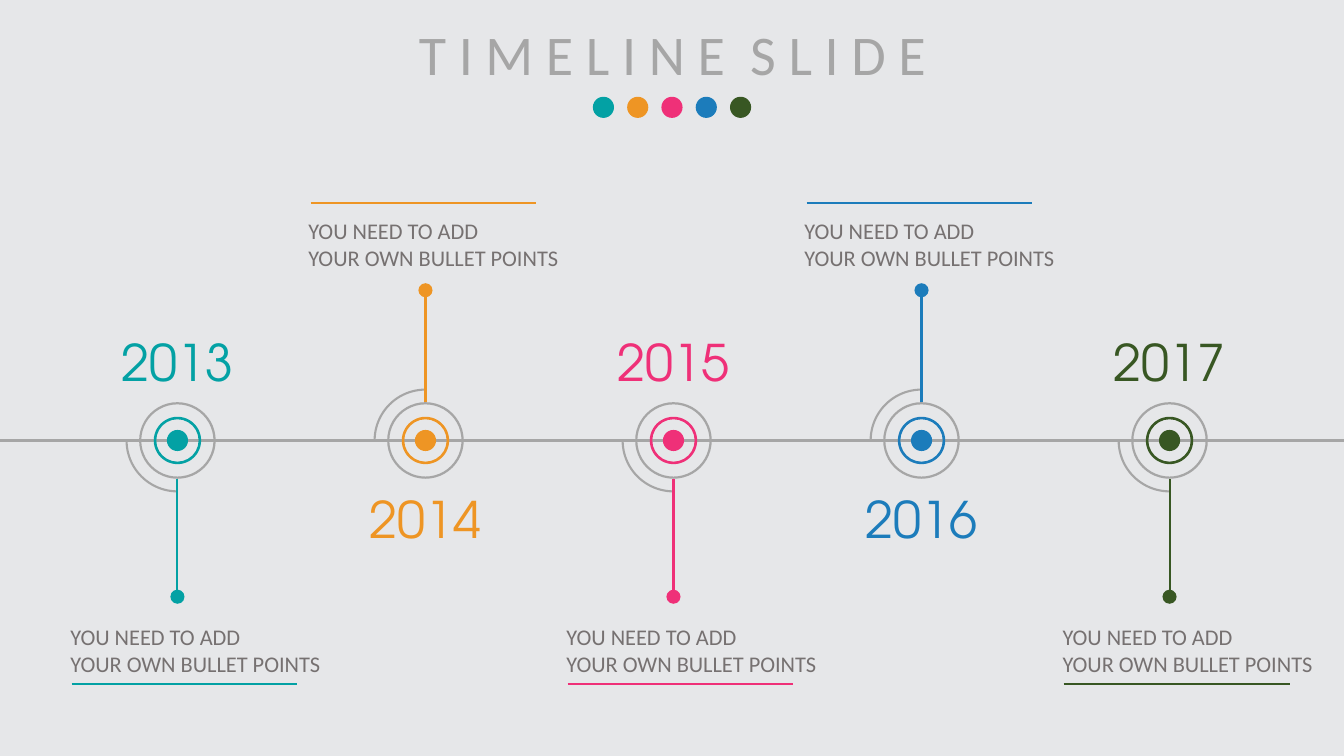
from pptx import Presentation
from pptx.dml.color import RGBColor
from pptx.enum.shapes import MSO_CONNECTOR, MSO_SHAPE
from pptx.enum.text import MSO_AUTO_SIZE, PP_ALIGN
from pptx.oxml import parse_xml
from pptx.oxml.ns import nsdecls
from pptx.util import Inches, Pt

COLORS = {
    "background": "E6E7E9",
    "gray": "A6A6A6",
    "text": "767171",
    "teal": "03A1A4",
    "orange": "EE9524",
    "pink": "EF3078",
    "blue": "1C7CBB",
    "green": "385723",
}
MILESTONES = [
    ("2013", "teal"),
    ("2014", "orange"),
    ("2015", "pink"),
    ("2016", "blue"),
    ("2017", "green"),
]
LABEL = ["YOU NEED TO ADD", "YOUR OWN BULLET POINTS"]
AXIS_Y = 4.37
FIRST_X, STEP_X = 1.76, 2.46
DOT = 0.21


def rgb(color):
    return RGBColor.from_string(COLORS[color])


def add_line(page, start, end, color):
    line = page.shapes.add_connector(
        MSO_CONNECTOR.STRAIGHT, *(Inches(value) for value in (*start, *end))
    )
    line.line.color.rgb = rgb(color)
    line.line.width = Pt(1.5)
    line._element.spPr.append(parse_xml(f"<a:effectLst {nsdecls('a')}/>"))


def add_round(page, kind, x, y, size, color):
    """Add a filled round shape centred on x, y."""
    shape = page.shapes.add_shape(
        kind, Inches(x - size / 2), Inches(y - size / 2), Inches(size), Inches(size)
    )
    shape.shadow.inherit = False
    shape.fill.solid()
    shape.fill.fore_color.rgb = rgb(color)
    shape.line.fill.background()
    return shape


def add_ring(page, x, size, thickness, color):
    ring = add_round(page, MSO_SHAPE.DONUT, x, AXIS_Y, size, color)
    ring.adjustments[0] = thickness


def add_arc(page, x, rotation):
    """Add a gray quarter circle, lower left unless rotated."""
    arc = add_round(page, MSO_SHAPE.ARC, x, AXIS_Y, 1.01, "gray")
    arc.fill.background()
    arc.line.color.rgb = rgb("gray")
    arc.line.width = Pt(1.5)
    # Angles are in 1/60000 degree, scaled by 100000: 90 and 180 degrees
    arc.adjustments[0], arc.adjustments[1] = 54, 108
    arc.rotation = rotation


def add_text(page, left, top, width, height, lines, font, size, color,
             align=PP_ALIGN.LEFT):
    box = page.shapes.add_textbox(
        Inches(left), Inches(top), Inches(width), Inches(height)
    )
    frame = box.text_frame
    frame.word_wrap = True
    frame.auto_size = MSO_AUTO_SIZE.SHAPE_TO_FIT_TEXT
    frame.text = "\n".join(lines)
    for para in frame.paragraphs:
        para.alignment = align
        para.font.name = font
        para.font.size = Pt(size)
        para.font.color.rgb = rgb(color)


def add_milestone(page, x, year, color, label_above):
    if label_above:
        rotation, stem_start, stem_end, knob_y = 90, 3.99, 2.86, 2.88
        year_top, label_top, rule_y = 4.79, 2.11, 2.01
        label_left, rule_left = x - 1.26, x - 1.14
    else:
        rotation, stem_start, stem_end, knob_y = 0, 4.75, 5.88, 5.92
        year_top, label_top, rule_y = 3.24, 6.13, 6.79
        label_left, rule_left = x - 1.16, x - 1.05

    add_arc(page, x, rotation)
    add_round(page, MSO_SHAPE.OVAL, x, AXIS_Y, DOT, color)
    add_ring(page, x, 0.47, 0.053, color)
    add_ring(page, x, 0.76, 0.029, "gray")
    add_line(page, (x, stem_start), (x, stem_end), color)
    add_round(page, MSO_SHAPE.OVAL, x, knob_y, 0.14, color)
    add_text(page, x - 0.83, year_top, 1.66, 0.71, [year],
             "TeX Gyre Adventor", 36, color, PP_ALIGN.CENTER)
    add_text(page, label_left, label_top, 3.5, 0.64, LABEL, "Calibri", 16, "text")
    add_line(page, (rule_left, rule_y), (rule_left + 2.24, rule_y), color)


def add_title(page):
    add_text(page, 2.69, 0.14, 7.96, 0.77, ["T I M E L I N E  S L I D E"],
             "Calibri", 40, "gray", PP_ALIGN.CENTER)
    for index, (_, color) in enumerate(MILESTONES):
        add_round(page, MSO_SHAPE.OVAL, 5.985 + 0.34 * index, 1.065, DOT, color)


def main():
    deck = Presentation()
    deck.slide_width, deck.slide_height = Inches(13.33), Inches(7.5)
    page = deck.slides.add_slide(deck.slide_layouts[6])
    page.background.fill.solid()
    page.background.fill.fore_color.rgb = rgb("background")

    add_line(page, (0, AXIS_Y), (13.33, AXIS_Y), "gray")
    for index, (year, color) in enumerate(MILESTONES):
        add_milestone(page, FIRST_X + STEP_X * index, year, color,
                      label_above=index % 2 == 1)
    add_title(page)
    deck.save("out.pptx")


if __name__ == "__main__":
    main()
